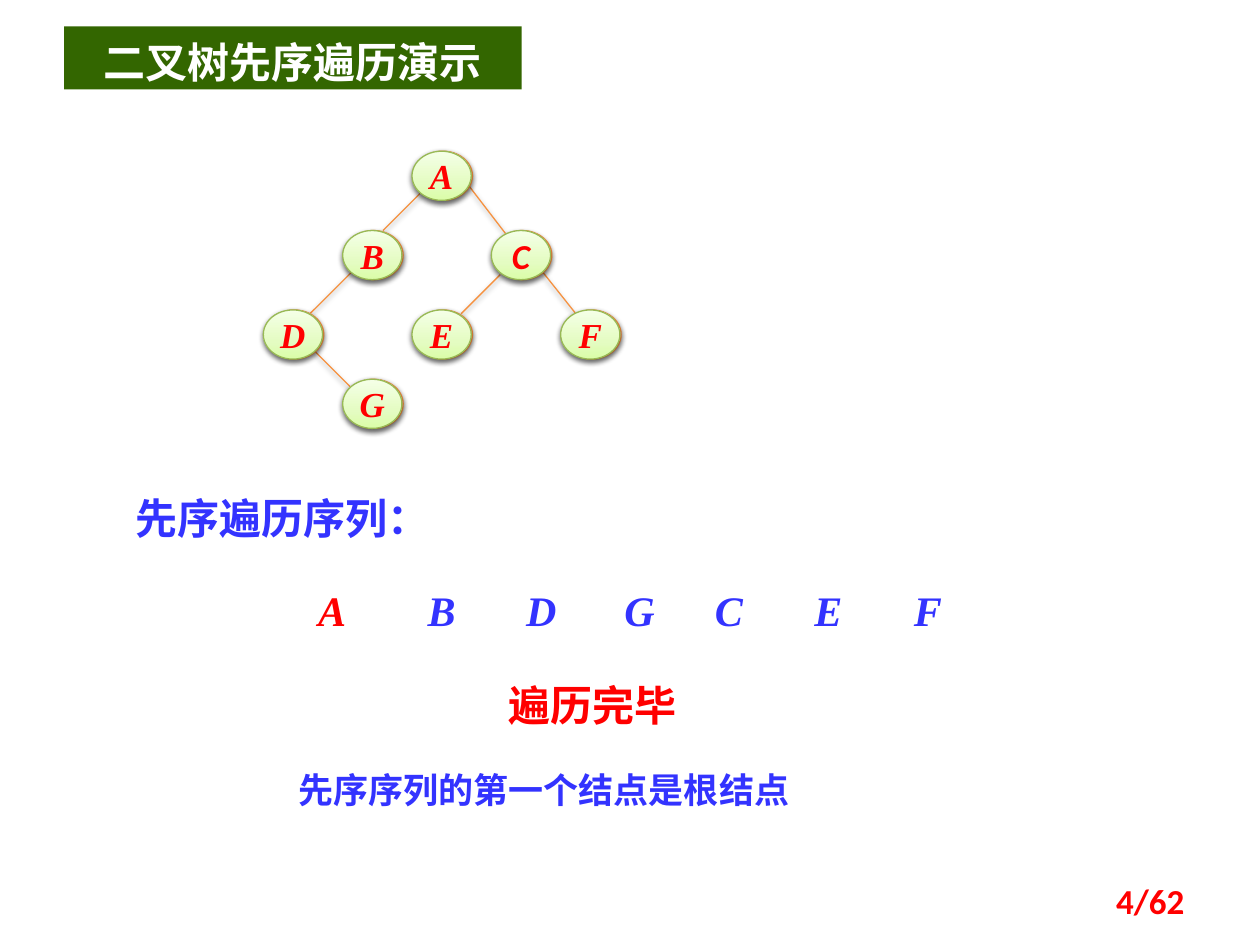
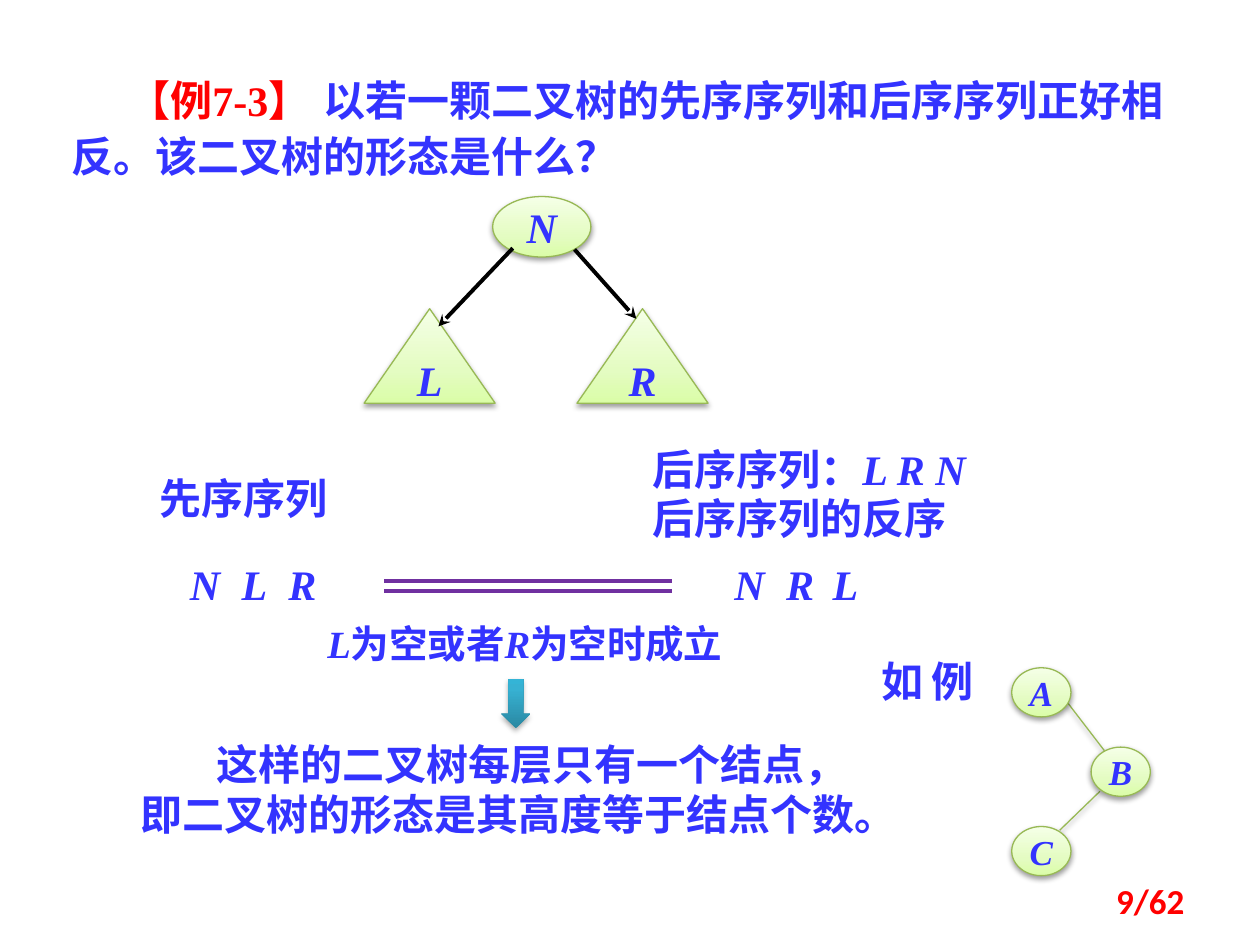
from dataclasses import dataclass
from typing import Optional

from lxml.etree import SubElement
from pptx import Presentation
from pptx.dml.color import RGBColor
from pptx.enum.shapes import MSO_CONNECTOR, MSO_SHAPE
from pptx.enum.text import MSO_ANCHOR, PP_ALIGN
from pptx.oxml.ns import qn
from pptx.util import Emu, Pt

PX = 9144  # 100 px to the inch
SERIF = "Times New Roman"
HAN = "Noto Sans CJK SC"
SANS = "Calibri"
LINE_HEIGHT = 1.2
HAN_RISE = 3  # extra top inset that seats Chinese glyphs on the line
NODE_SIZE = (47, 39)

COLORS = {
    "blue": "3333FF",
    "red": "FF0000",
    "white": "FFFFFF",
    "black": "000000",
    "title": "336600",
    "orange": "F69240",
    "green": "98B955",
    "purple": "7030A0",
}
GRADIENTS = {
    "orange": ((0, "FFD2BD"), (35, "FFDED0"), (100, "FFF2ED")),
    "green": ((0, "DAFDA7"), (35, "E4FCC2"), (100, "F5FFE7")),
    "teal": ((0, "2A88A2"), (80, "37B1D2"), (100, "34B4D6")),
}


@dataclass(frozen=True)
class Span:
    text: str
    color: Optional[str] = None
    italic: Optional[bool] = None


@dataclass(frozen=True)
class Label:
    spans: tuple[Span, ...]
    left: int
    top: int
    width: int
    height: int = 50
    size: int = 24
    font: str = HAN
    color: str = "blue"
    italic: bool = False
    align: PP_ALIGN = PP_ALIGN.LEFT
    indent: int = 0
    tabs: tuple[int, ...] = ()
    leading: Optional[float] = None
    vertical: bool = False


@dataclass(frozen=True)
class Node:
    text: str
    left: int
    top: int
    width: int = NODE_SIZE[0]
    height: int = NODE_SIZE[1]
    size: int = 20
    color: str = "blue"
    font: str = SERIF
    shape: MSO_SHAPE = MSO_SHAPE.OVAL


@dataclass(frozen=True)
class Edge:
    start: tuple[int, int]
    end: tuple[int, int]
    color: str
    width: float = 0.75
    shadow: bool = True
    arrow: bool = False


def px(length: int) -> Emu:
    return Emu(length * PX)


def rgb(name: str) -> RGBColor:
    return RGBColor.from_string(COLORS[name])


def set_shadow(properties, alpha: int = 38) -> None:
    """Give a shape or connector a soft shadow below it."""
    effects = properties.find(qn("a:effectLst"))
    shadow = SubElement(effects, qn("a:outerShdw"), blurRad="40000", dist="20000",
                        dir="5400000", rotWithShape="0")
    color = SubElement(shadow, qn("a:srgbClr"), val=COLORS["black"])
    SubElement(color, qn("a:alpha"), val=str(alpha * 1000))


def set_gradient(shape, name: str) -> None:
    """Fill a shape with a gradient that runs from bottom to top."""
    shape.fill.gradient()
    shape.fill.gradient_angle = 90
    stops = shape._element.spPr.find(f"{qn('a:gradFill')}/{qn('a:gsLst')}")
    for stop in list(stops):
        stops.remove(stop)
    for position, color in GRADIENTS[name]:
        stop = SubElement(stops, qn("a:gs"), pos=str(position * 1000))
        SubElement(stop, qn("a:srgbClr"), val=color)


def style_paragraph(para, size: int, font: str, color: str, bold: bool = True,
                    italic: bool = False) -> None:
    para.font.size = Pt(size)
    para.font.name = font
    para.font.bold = bold
    para.font.italic = italic
    para.font.color.rgb = rgb(color)
    defaults = para._p.pPr.find(qn("a:defRPr"))
    SubElement(defaults, qn("a:ea"), typeface=HAN)


def fill_label(box, label: Label) -> None:
    frame = box.text_frame
    frame.word_wrap = True
    frame.vertical_anchor = MSO_ANCHOR.TOP
    if label.font == HAN:
        frame.margin_top = px(5 + HAN_RISE)
    if label.vertical:
        frame._txBody.bodyPr.set("vert", "eaVert")
    para = frame.paragraphs[0]
    para.alignment = label.align
    para.line_spacing = Pt(label.leading or round(label.size * LINE_HEIGHT, 1))
    properties = para._p.get_or_add_pPr()
    if label.indent:
        properties.set("indent", str(px(label.indent)))
    if label.tabs:
        tab_list = SubElement(properties, qn("a:tabLst"))
        for position in label.tabs:
            SubElement(tab_list, qn("a:tab"), pos=str(px(position)), algn="l")
    latin = SERIF if label.font == HAN else label.font
    style_paragraph(para, label.size, latin, label.color, italic=label.italic)
    for span in label.spans:
        run = para.add_run()
        run.text = span.text
        if span.color:
            run.font.color.rgb = rgb(span.color)
        if span.italic is not None:
            run.font.italic = span.italic


def draw_label(page, label: Label) -> None:
    area = map(px, (label.left, label.top, label.width, label.height))
    fill_label(page.shapes.add_textbox(*area), label)


def draw_title(page, text: str) -> None:
    label = Label((Span(text),), 51, 21, 363, color="white", align=PP_ALIGN.CENTER)
    area = map(px, (label.left, label.top, label.width, label.height))
    band = page.shapes.add_shape(MSO_SHAPE.RECTANGLE, *area)
    band.shadow.inherit = False
    band.fill.solid()
    band.fill.fore_color.rgb = rgb("title")
    band.line.fill.background()
    fill_label(band, label)


def draw_page_number(page, number: int) -> None:
    box = page.shapes.add_textbox(px(717), px(695), px(233), px(40))
    box.text_frame.word_wrap = True
    box.text_frame.vertical_anchor = MSO_ANCHOR.MIDDLE
    para = box.text_frame.paragraphs[0]
    para.text = f"{number}/62"
    para.alignment = PP_ALIGN.RIGHT
    style_paragraph(para, 20, SANS, "red")


def draw_shaded(page, kind: MSO_SHAPE, area: tuple[int, ...], gradient: str,
                alpha: int = 38):
    """Draw a gradient shape with a shadow, outlined if its gradient has a line colour."""
    shape = page.shapes.add_shape(kind, *map(px, area))
    shape.shadow.inherit = False
    set_gradient(shape, gradient)
    if gradient in COLORS:
        shape.line.color.rgb = rgb(gradient)
        shape.line.width = Pt(0.75)
    else:
        shape.line.fill.background()
    set_shadow(shape._element.spPr, alpha)
    return shape


def draw_node(page, node: Node) -> None:
    area = (node.left, node.top, node.width, node.height)
    shape = draw_shaded(page, node.shape, area, "green")
    frame = shape.text_frame
    frame.word_wrap = False
    frame.vertical_anchor = MSO_ANCHOR.MIDDLE
    para = frame.paragraphs[0]
    para.text = node.text
    para.alignment = PP_ALIGN.CENTER
    style_paragraph(para, node.size, node.font, node.color, italic=True)


def draw_edge(page, edge: Edge) -> None:
    line = page.shapes.add_connector(MSO_CONNECTOR.STRAIGHT,
                                     *map(px, edge.start + edge.end))
    line.line.color.rgb = rgb(edge.color)
    line.line.width = Pt(edge.width)
    properties = line._element.spPr
    if edge.arrow:
        SubElement(properties.find(qn("a:ln")), qn("a:tailEnd"), type="stealth")
    SubElement(properties, qn("a:effectLst"))
    if edge.shadow:
        set_shadow(properties)


def build_traversal(page) -> None:
    edges = (
        ((249, 278), (280, 309)), ((335, 152), (304, 183)), ((371, 146), (404, 189)),
        ((280, 215), (241, 254)), ((397, 218), (366, 249)), ((430, 215), (461, 254)),
    )
    for start, end in edges:
        draw_edge(page, Edge(start, end, "orange"))
    tree = {"A": (327, 120), "B": (272, 183), "C": (390, 183), "D": (209, 246),
            "E": (327, 246), "G": (272, 301), "F": (445, 246)}
    for letter, (left, top) in tree.items():
        draw_shaded(page, MSO_SHAPE.OVAL, (left + 1, top, *NODE_SIZE), "orange")
        font = SANS if letter == "C" else SERIF
        draw_node(page, Node(letter, left, top, color="red", font=font))
    sequence = {"A": 224, "B": 311, "D": 390, "G": 468, "C": 539, "E": 618, "F": 697}
    for letter, left in sequence.items():
        draw_label(page, Label((Span(letter),), left, 459, 79, font=SERIF, italic=True,
                               color="red" if letter == "A" else "blue",
                               align=PP_ALIGN.CENTER))
    draw_label(page, Label((Span("先序遍历序列："),), 98, 383, 284))
    draw_label(page, Label((Span("遍历完毕"),), 336, 531, 268, color="red",
                           align=PP_ALIGN.CENTER))
    draw_title(page, "二叉树先序遍历演示")
    draw_label(page, Label((Span("先序序列的第一个结点是根结点"),), 227, 602, 500, 44,
                           size=20))
    draw_page_number(page, 4)


def build_example(page) -> None:
    question = (Span("【例7-3】\t", "red"),
                Span("以若一颗二叉树的先序序列和后序序列正好相反。该二叉树的形态是什么？"))
    draw_label(page, Label(question, 47, 47, 906, 100, indent=45, tabs=(221,), leading=32))

    draw_node(page, Node("N", 391, 156, 78, 48, 24))
    for letter, left in (("L", 289), ("R", 458)):
        draw_node(page, Node(letter, left, 245, 104, 75, 24,
                             shape=MSO_SHAPE.ISOSCELES_TRIANGLE))
    for start, end in (((407, 197), (348, 259)), ((456, 198), (505, 253))):
        draw_edge(page, Edge(start, end, "black", 2.25, shadow=False, arrow=True))

    draw_label(page, Label((Span("先序序列"),), 117, 367, 172))
    draw_label(page, Label((Span("后序序列："), Span("L R N", italic=True)), 508, 344, 320))
    draw_label(page, Label((Span("后序序列的反序"),), 508, 383, 297))
    for text, left, width in (("N\tL\tR", 141, 133), ("N\tR\tL", 573, 141)):
        draw_label(page, Label((Span(text),), left, 438, width, font=SERIF, italic=True,
                               tabs=(41, 78)))
    for height in (461, 469):
        draw_edge(page, Edge((305, height), (533, height), "purple", 2.25, shadow=False))
    condition = (Span("L", italic=True), Span("为空或者"),
                 Span("R", italic=True), Span("为空时成立"))
    draw_label(page, Label(condition, 250, 484, 383, 47, size=22))
    conclusion = "这样的二叉树每层只有一个结点，即二叉树的形态是其高度等于结点个数。"
    draw_label(page, Label((Span(conclusion),), 102, 578, 602, 131, indent=60))
    draw_shaded(page, MSO_SHAPE.DOWN_ARROW, (398, 539, 23, 39), "teal", 35)

    for start, end in (((846, 556), (879, 599)), ((873, 628), (841, 659))):
        draw_edge(page, Edge(start, end, "green"))
    for row, (letter, left) in enumerate((("A", 803), ("B", 866), ("C", 803))):
        draw_node(page, Node(letter, left, 530 + 63 * row))
    draw_label(page, Label((Span("例如"),), 688, 516, 92, 52, align=PP_ALIGN.CENTER,
                           vertical=True))
    draw_page_number(page, 9)


def main() -> None:
    deck = Presentation()
    deck.slide_width, deck.slide_height = px(1000), px(750)
    for build in (build_traversal, build_example):
        build(deck.slides.add_slide(deck.slide_layouts[6]))
    deck.save("out.pptx")


if __name__ == "__main__":
    main()
